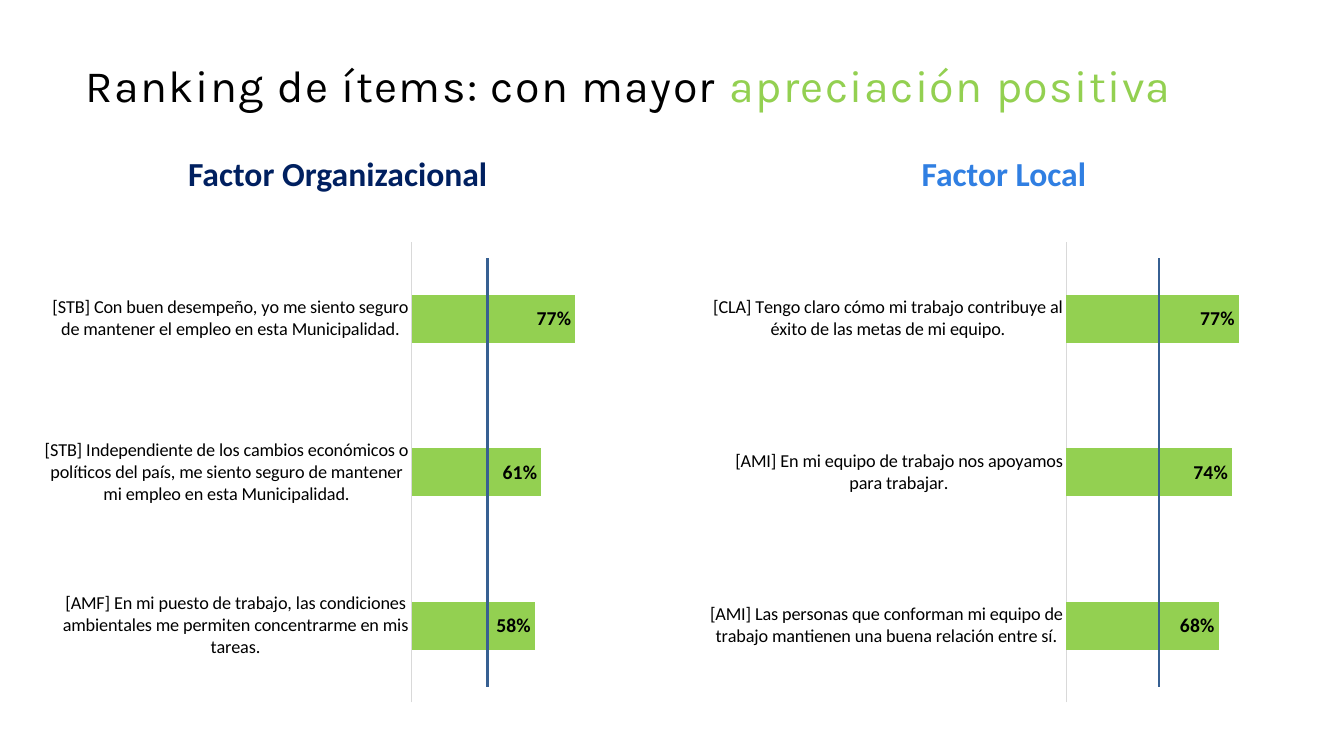
from lxml import etree
from pptx import Presentation
from pptx.chart.data import CategoryChartData
from pptx.dml.color import RGBColor
from pptx.enum.chart import XL_CHART_TYPE, XL_LABEL_POSITION, XL_TICK_MARK
from pptx.enum.shapes import MSO_CONNECTOR
from pptx.enum.text import MSO_ANCHOR, MSO_AUTO_SIZE, PP_ALIGN
from pptx.oxml.ns import qn
from pptx.util import Cm, Pt

BAR = XL_CHART_TYPE.BAR_CLUSTERED
INSIDE_END = XL_LABEL_POSITION.INSIDE_END
NO_TICK = XL_TICK_MARK.NONE
STRAIGHT = MSO_CONNECTOR.STRAIGHT
MIDDLE = MSO_ANCHOR.MIDDLE
NO_FIT = MSO_AUTO_SIZE.NONE
LEFT, CENTER = PP_ALIGN.LEFT, PP_ALIGN.CENTER
GREEN = "93D051"


def rgb(value):
    return RGBColor.from_string(value)


def set_font(font, color, **values):
    font.color.rgb = rgb(color)
    for name, value in values.items():
        setattr(font, name, value)


prs = Presentation()
prs.slide_width, prs.slide_height = Cm(33.87), Cm(19.05)
s = prs.slides.add_slide(prs.slide_layouts[5])

title = s.shapes.title
title.left, title.top, title.width, title.height = Cm(2.16), Cm(0.86), Cm(29.92), Cm(2.69)
tf = title.text_frame
frame_format = {
    "auto_size": NO_FIT, "word_wrap": True, "vertical_anchor": MIDDLE,
    "margin_left": 0, "margin_right": 0, "margin_top": 0, "margin_bottom": 0,
}
for name, value in frame_format.items():
    setattr(tf, name, value)
p = tf.paragraphs[0]
p.alignment, p.line_spacing = LEFT, 0.9
for text, color in [("Ranking de ítems: con mayor ", "000000"), ("apreciación positiva", GREEN)]:
    r = p.add_run()
    r.text = text
    set_font(r.font, color, name="Karla", size=Pt(32), bold=False)
    r.font._element.set("spc", "100")

factors = [
    {
        "name": "Factor Organizacional", "color": "002060",
        "heading_x": 2.11, "chart_x": 1.02, "line_x": 12.29,
        "items": [
            ("[AMF] En mi puesto de trabajo, las condiciones ambientales me permiten "
             "concentrarme en mis tareas.", 0.58),
            ("[STB] Independiente de los cambios económicos o políticos del país, me siento "
             "seguro de mantener mi empleo en esta Municipalidad.", 0.61),
            ("[STB] Con buen desempeño, yo me siento seguro de mantener el empleo en esta "
             "Municipalidad.", 0.77),
        ],
    },
    {
        "name": "Factor Local", "color": "307FE2",
        "heading_x": 18.9, "chart_x": 17.81, "line_x": 29.21,
        "items": [
            ("[AMI] Las personas que conforman mi equipo de trabajo mantienen una buena "
             "relación entre sí.", 0.68),
            ("[AMI] En mi equipo de trabajo nos apoyamos para trabajar.", 0.74),
            ("[CLA] Tengo claro cómo mi trabajo contribuye al éxito de las metas de mi "
             "equipo.", 0.77),
        ],
    },
]

for factor in factors:
    sp = s.shapes.add_textbox(Cm(factor["heading_x"]), Cm(4.01), Cm(12.8), Cm(0.84))
    tf = sp.text_frame
    tf.word_wrap, tf.vertical_anchor = True, MIDDLE
    p = tf.paragraphs[0]
    p.alignment, p.line_spacing = CENTER, 0.9
    r = p.add_run()
    r.text = factor["name"]
    set_font(r.font, factor["color"], name="Calibri", size=Pt(24), bold=True)

    data = CategoryChartData(number_format="0%")
    data.categories = [text for text, share in factor["items"]]
    data.add_series("Series 1", [share for text, share in factor["items"]])
    chart = s.shapes.add_chart(
        BAR, Cm(factor["chart_x"]), Cm(5.87), Cm(15.01), Cm(12.07), data).chart
    chart.has_legend = chart.has_title = False
    set_font(chart.font, "000000", name="Calibri", size=Pt(10))

    axis = chart.category_axis
    axis.major_tick_mark = axis.minor_tick_mark = NO_TICK
    axis.format.line.color.rgb = rgb("D9D9D9")
    axis.format.line.width = Pt(0.75)
    set_font(axis.tick_labels.font, "000000", name="Calibri", size=Pt(13))

    axis = chart.value_axis
    axis.minimum_scale, axis.maximum_scale = 0, 1
    axis.has_major_gridlines = axis.visible = False

    plot = chart.plots[0]
    plot.gap_width, plot.vary_by_categories = 219, False
    bars = plot.series[0]
    bars.format.fill.solid()
    bars.format.fill.fore_color.rgb = rgb(GREEN)
    labels = bars.data_labels
    labels.show_value, labels.position = True, INSIDE_END
    labels.number_format, labels.number_format_is_linked = "0%", False
    set_font(labels.font, "000000", name="Calibri", size=Pt(14), bold=True)

for factor in factors:
    x = Cm(factor["line_x"])
    line = s.shapes.add_connector(STRAIGHT, x, Cm(17.3), x, Cm(6.5))
    line.line.color.rgb = rgb("376092")
    line.line.width = Pt(2)
    etree.SubElement(line._element.spPr, qn("a:effectLst"))

prs.save("out.pptx")
